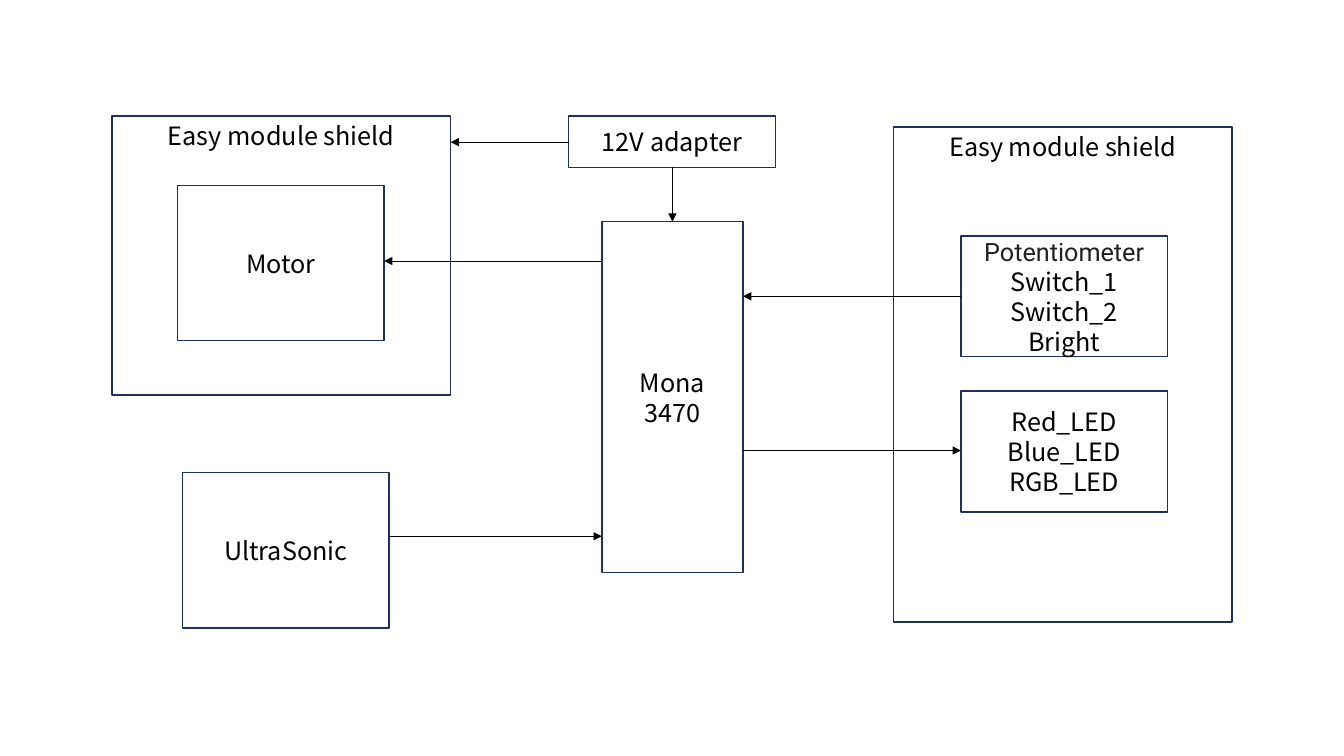
from dataclasses import dataclass

import pptx
import pptx.dml.color
import pptx.enum.shapes
import pptx.enum.text
import pptx.oxml
import pptx.oxml.ns
import pptx.util

PX = 9144  # EMU per px, 100 px to the inch
COLOURS = {"outline": "1E3256", "text": "000000", "grey": "202124"}
FONT = "Noto Sans CJK KR"
TEXT_SIZE = pptx.util.Pt(18)
LINE_PITCH = pptx.util.Pt(21.5)


@dataclass
class Line:
    text: str
    font: str = FONT
    colour: str = "text"


@dataclass
class Block:
    left: int
    top: int
    width: int
    height: int
    lines: list[Line]
    at_top: bool = False

    @property
    def right(self) -> int:
        return self.left + self.width

    @property
    def bottom(self) -> int:
        return self.top + self.height


@dataclass
class Arrow:
    start: tuple[int, int]
    end: tuple[int, int]


def colour(name: str) -> pptx.dml.color.RGBColor:
    return pptx.dml.color.RGBColor.from_string(COLOURS[name])


def draw_block(page, block: Block) -> None:
    box = page.shapes.add_shape(
        pptx.enum.shapes.MSO_SHAPE.RECTANGLE,
        block.left * PX, block.top * PX, block.width * PX, block.height * PX)
    box.shadow.inherit = False
    box.fill.background()
    box.line.color.rgb = colour("outline")
    box.line.width = pptx.util.Pt(1)
    frame = box.text_frame
    frame.word_wrap = True
    anchors = pptx.enum.text.MSO_ANCHOR
    frame.vertical_anchor = anchors.TOP if block.at_top else anchors.MIDDLE
    for index, line in enumerate(block.lines):
        para = frame.add_paragraph() if index else frame.paragraphs[0]
        para.text = line.text
        para.alignment = pptx.enum.text.PP_ALIGN.CENTER
        para.line_spacing = LINE_PITCH
        para.font.name = line.font
        para.font.size = TEXT_SIZE
        para.font.color.rgb = colour(line.colour)


def draw_arrow(page, arrow: Arrow) -> None:
    connector = page.shapes.add_connector(
        pptx.enum.shapes.MSO_CONNECTOR.STRAIGHT,
        *(length * PX for length in arrow.start + arrow.end))
    connector.line.color.rgb = colour("text")
    connector.line.width = pptx.util.Pt(0.5)
    namespace = pptx.oxml.ns.nsdecls("a")
    connector.line._get_or_add_ln().append(
        pptx.oxml.parse_xml(f'<a:tailEnd {namespace} type="triangle"/>'))
    connector._element.spPr.append(
        pptx.oxml.parse_xml(f"<a:effectLst {namespace}/>"))


# Blocks of the diagram
board = Block(597, 220, 140, 348, [Line("Mona 3470")])
motor = Block(176, 184, 205, 154, [Line("Motor")])
inputs = Block(953, 234, 205, 120, [
    Line("Potentiometer", "Roboto", "grey"),
    Line("Switch_1"), Line("Switch_2"), Line("Bright")])
lights = Block(953, 388, 205, 120, [
    Line("Red_LED"), Line("Blue_LED"), Line("RGB_LED")])
right_shield = Block(886, 126, 336, 491, [Line("Easy module shield")], True)
left_shield = Block(111, 115, 336, 277, [Line("Easy module shield")], True)
adapter = Block(564, 115, 205, 51, [Line("12V adapter")])
ultrasonic = Block(181, 469, 205, 154, [Line("UltraSonic")])
BLOCKS = [board, motor, inputs, lights, right_shield, left_shield, adapter, ultrasonic]

# Signals and power between the blocks
ARROWS = [
    Arrow((inputs.left, 294), (board.right, 294)),
    Arrow((board.right, 447), (lights.left, 447)),
    Arrow((board.left, 259), (motor.right, 259)),
    Arrow((adapter.left, 141), (left_shield.right, 141)),
    Arrow((667, adapter.bottom), (667, board.top)),
    Arrow((ultrasonic.right, 532), (board.left, 532)),
]


def main() -> None:
    deck = pptx.Presentation()
    deck.slide_width = 1333 * PX
    deck.slide_height = 750 * PX
    page = deck.slides.add_slide(deck.slide_layouts[6])
    for block in BLOCKS:
        draw_block(page, block)
    for arrow in ARROWS:
        draw_arrow(page, arrow)
    deck.save("out.pptx")


if __name__ == "__main__":
    main()
